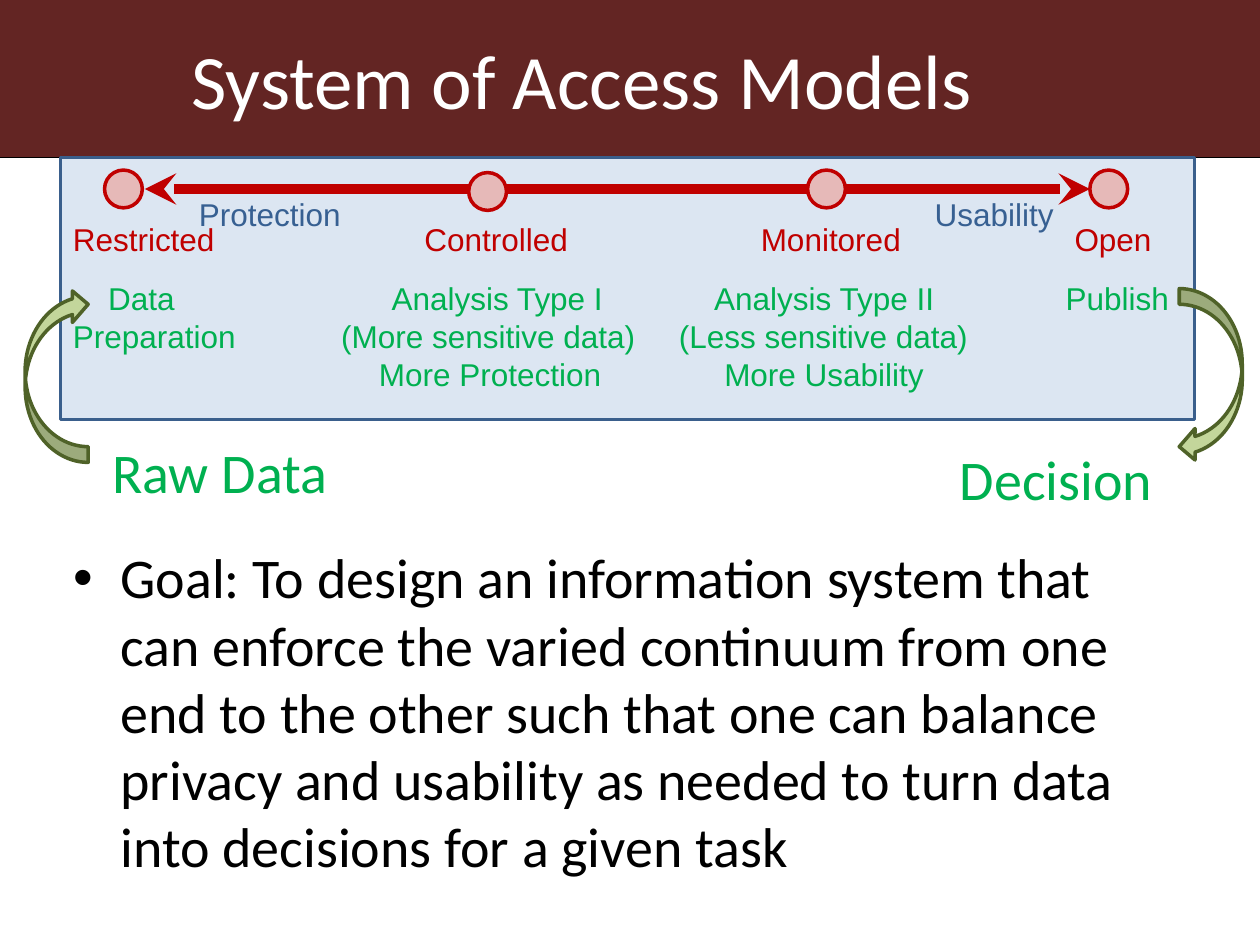
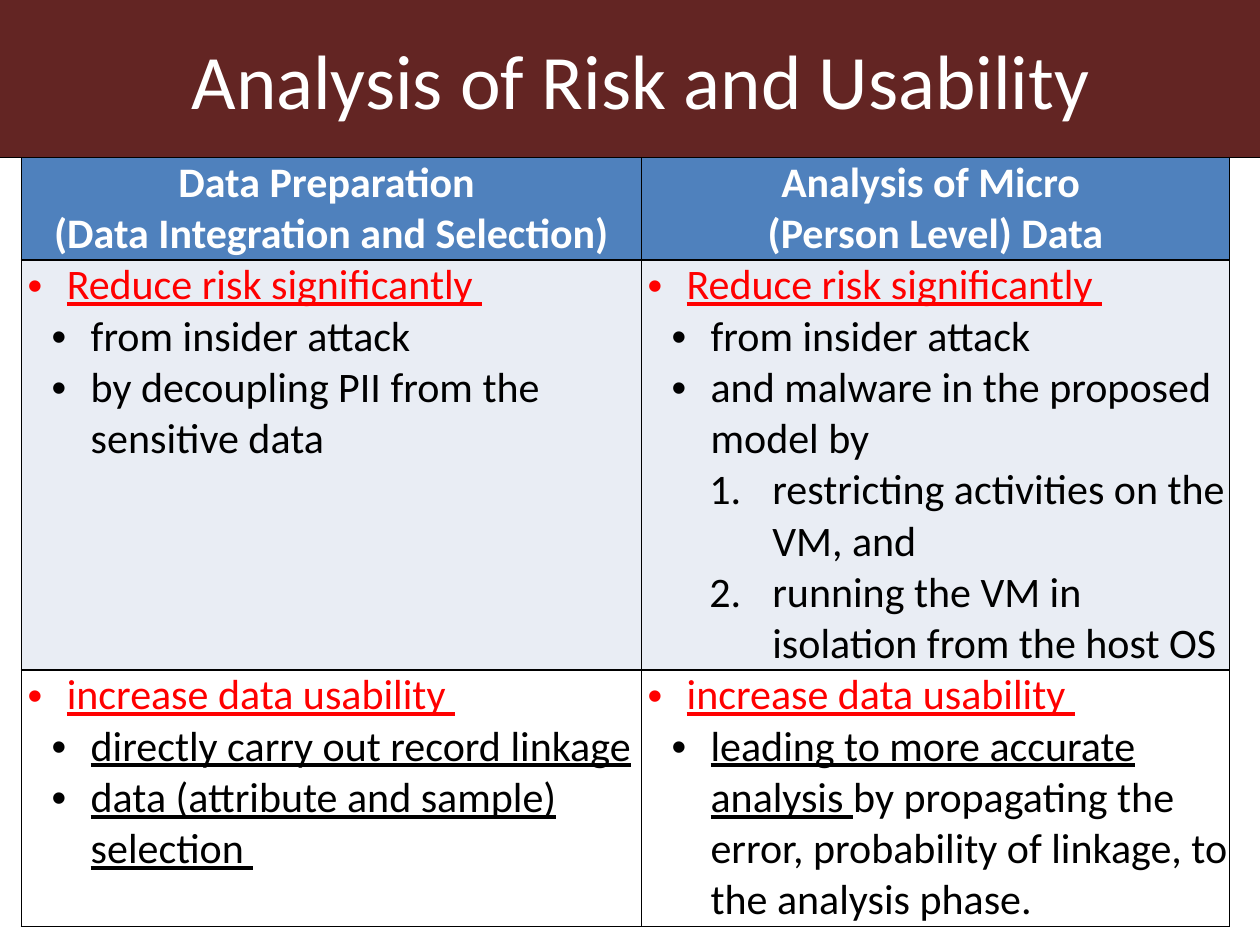
import pptx
import pptx.dml.color
import pptx.enum.shapes
import pptx.enum.text
import pptx.oxml
import pptx.oxml.ns
import pptx.util

Inches = pptx.util.Inches
Pt = pptx.util.Pt
RGBColor = pptx.dml.color.RGBColor
MSO_SHAPE = pptx.enum.shapes.MSO_SHAPE
STRAIGHT = pptx.enum.shapes.MSO_CONNECTOR.STRAIGHT
PP_ALIGN = pptx.enum.text.PP_ALIGN
MSO_ANCHOR = pptx.enum.text.MSO_ANCHOR
NS = pptx.oxml.ns.nsdecls("a")

BLACK = RGBColor(0x00, 0x00, 0x00)
WHITE = RGBColor(0xFF, 0xFF, 0xFF)
MAROON = RGBColor(0x63, 0x25, 0x23)
RED = RGBColor(0xFF, 0x00, 0x00)
DARK_RED = RGBColor(0xC0, 0x00, 0x00)
PINK = RGBColor(0xE6, 0xB9, 0xB8)
GREEN = RGBColor(0x00, 0xB0, 0x50)
OLIVE = RGBColor(0x4F, 0x62, 0x28)
LIGHT_OLIVE = RGBColor(0xC3, 0xD6, 0x9B)
LABEL_BLUE = RGBColor(0x37, 0x60, 0x92)
PANEL_LINE = RGBColor(0x3A, 0x5F, 0x8C)
PANEL_FILL = RGBColor(0xDC, 0xE6, 0xF2)
HEADER_BLUE = RGBColor(0x4F, 0x81, 0xBD)
ROW_BLUE = RGBColor(0xE9, 0xED, 0xF4)

TITLE_FONT = {"name": "Calibri", "size": Pt(44)}
BODY_FONT = {"name": "Calibri", "size": Pt(32)}
LABEL_FONT = {"name": "Arial", "size": Pt(18)}
CELL_FONT = {"name": "Calibri", "size": Pt(24)}


def add_run(p, text, color, **fmt):
    r = p.add_run()
    r.text = text
    r.font.color.rgb = color
    for key, value in fmt.items():
        setattr(r.font, key, value)


def set_indent(p, left=0, hang=0, bullet="<a:buNone {}/>", bullet_font="Arial"):
    pPr = p._p.get_or_add_pPr()
    pPr.set("marL", str(Inches(left)))
    pPr.set("indent", str(Inches(-hang)))
    pPr.append(pptx.oxml.parse_xml(f'<a:buFont {NS} typeface="{bullet_font}"/>'))
    pPr.append(pptx.oxml.parse_xml(bullet.format(NS)))


prs = pptx.Presentation()
prs.slide_width = Inches(10)
prs.slide_height = Inches(7.5)
master = prs.slide_master
title = master.placeholders[0]
title.left, title.top, title.width, title.height = [Inches(v) for v in (1.42, 0, 8.58, 1.25)]

slides = []
for layout, heading in ((1, "System of Access Models"), (5, "Analysis of Risk and Usability")):
    s = prs.slides.add_slide(prs.slide_layouts[layout])
    p = s.shapes.title.text_frame.paragraphs[0]
    p.alignment = PP_ALIGN.LEFT
    add_run(p, heading, WHITE, **TITLE_FONT)
    slides.append(s)
access, risk = slides

band = access.shapes.add_shape(MSO_SHAPE.RECTANGLE, 0, 0, Inches(10), Inches(1.25))
band.shadow.inherit = False
band.fill.solid()
band.fill.fore_color.rgb = MAROON
band.line.fill.background()
rule = access.shapes.add_connector(STRAIGHT, 0, Inches(1.25), Inches(10), Inches(1.25))
rule.line.color.rgb = BLACK
rule.line.width = Pt(0.75)
axis = access.shapes.add_connector(STRAIGHT, Inches(1.15), Inches(1.5), Inches(8.65), Inches(1.5))
axis.line.color.rgb = DARK_RED
axis.line.width = Pt(6)
for line in (rule, axis):
    line._element.spPr.append(pptx.oxml.parse_xml(f"<a:effectLst {NS}/>"))
for end in ("headEnd", "tailEnd"):
    axis.line._get_or_add_ln().append(pptx.oxml.parse_xml(f'<a:{end} {NS} type="stealth"/>'))
for i, sp in enumerate((band, rule)):
    sp._element.xpath(".//p:cNvPr")[0].set("id", str(20 + i))
    master.shapes._spTree.insert(2 + i, sp._element)

body = access.placeholders[1]
body.left, body.top, body.width, body.height = [Inches(v) for v in (0.48, 3.42, 9, 3.67)]
tf = body.text_frame
p = tf.paragraphs[0]
set_indent(p, 0.31)
add_run(p, "Raw Data", GREEN, **BODY_FONT)
p = tf.add_paragraph()
p.space_before = Pt(22)
add_run(p, "Goal: To design an information system that can enforce the varied continuum "
        "from one end to the other such that one can balance privacy and usability as needed "
        "to turn data into decisions for a given task", BLACK, **BODY_FONT)

diagram = [(MSO_SHAPE.RECTANGLE, (0.48, 1.25, 9, 2.08), PANEL_FILL, PANEL_LINE, None)]
diagram += [(MSO_SHAPE.OVAL, (x, y, 0.3, 0.3), PINK, DARK_RED, None)
            for x, y in ((0.83, 1.35), (3.72, 1.37), (6.41, 1.35), (8.65, 1.35))]
diagram += [(MSO_SHAPE.CURVED_RIGHT_ARROW, (x, 2.29, 0.5, 1.38), LIGHT_OLIVE, OLIVE, flip)
            for x, flip in ((0.2, "flipV"), (9.36, "flipH"))]
for kind, box, fill, outline, flip in diagram:
    sp = access.shapes.add_shape(kind, *[Inches(v) for v in box])
    sp.shadow.inherit = False
    sp.fill.solid()
    sp.fill.fore_color.rgb = fill
    sp.line.color.rgb = outline
    sp.line.width = Pt(2)
    if flip:
        sp._element.spPr.xfrm.set(flip, "1")
    if kind == MSO_SHAPE.RECTANGLE:
        sp._element.addnext(axis._element)

stages = [
    (0.48, 1.7, [("Restricted", 0), ("Data", 0.28), ("Preparation", 0)]),
    (2.61, 2.7, [("Controlled", 0.66), ("Analysis Type I", 0.4),
                 ("(More sensitive data)", 0), ("More Protection", 0.3)]),
    (5.29, 2.7, [("Monitored", 0.65), ("Analysis Type II", 0.28),
                 ("(Less sensitive data)", 0), ("More Usability", 0.36)]),
    (8.36, 1.2, [("Open", 0.07), ("Publish", 0)]),
]
labels = [((x, 1.7, width, 0.4 + 0.3 * (len(lines) - 1)), LABEL_FONT,
           [(text, GREEN if i else DARK_RED, indent, 0 if i else 12)
            for i, (text, indent) in enumerate(lines)])
          for x, width, lines in stages]
labels += [((x, 1.5, 1.5, 0.4), LABEL_FONT, [(text, LABEL_BLUE, 0, 0)])
           for x, text in ((1.48, "Protection"), (7.32, "Usability"))]
labels.append(((7.52, 3.48, 1.9, 0.63), BODY_FONT, [("Decision", GREEN, 0, 0)]))
for box, font, lines in labels:
    tf = access.shapes.add_textbox(*[Inches(v) for v in box]).text_frame
    tf.word_wrap = True
    tf.auto_size = pptx.enum.text.MSO_AUTO_SIZE.SHAPE_TO_FIT_TEXT
    for i, (text, color, indent, after) in enumerate(lines):
        p = tf.add_paragraph() if i else tf.paragraphs[0]
        set_indent(p, indent)
        p.space_after = Pt(after)
        add_run(p, text, color, **font)

DOT = '<a:buChar {} char="•"/>'
NUMBER = '<a:buAutoNum {} type="arabicPeriod"/>'
LEVELS = [(0.31, 0.31, DOT), (0.5, 0.31, DOT), (0.99, 0.5, NUMBER, "Calibri")]
headers = [("Data Preparation ", "(Data Integration and Selection)"),
           ("Analysis of Micro ", "(Person Level) Data")]
reduce_risk = (0, [("Reduce risk significantly ", True)])
increase_use = (0, [("increase data usability ", True)])
insider = (1, [("from insider attack", False)])
rows = [
    [[reduce_risk, insider,
      (1, [("by decoupling PII from the sensitive data", False)])],
     [reduce_risk, insider,
      (1, [("and malware in the proposed model by", False)]),
      (2, [("restricting activities on the VM, and", False)]),
      (2, [("running the VM in isolation from the host OS", False)])]],
    [[increase_use,
      (1, [("directly carry out record linkage", True)]),
      (1, [("data (attribute and sample) selection ", True)])],
     [increase_use,
      (1, [("leading to more accurate analysis ", True),
           ("by propagating the error, probability of linkage, to the analysis phase.", False)])]],
]

table = risk.shapes.add_table(3, 2, Inches(0.17), Inches(1.25), Inches(9.58), Inches(6)).table
for col, width in zip(table.columns, (4.92, 4.67)):
    col.width = Inches(width)
for row, height in zip(table.rows, (0.3, 3.2, 1.85)):
    row.height = Inches(height)

for i, fill in enumerate((HEADER_BLUE, ROW_BLUE, WHITE)):
    for j in range(2):
        cell = table.cell(i, j)
        cell.margin_left = Inches(0.05 if i else 0)
        cell.margin_top = cell.margin_right = cell.margin_bottom = 0
        cell.vertical_anchor = MSO_ANCHOR.TOP if i else MSO_ANCHOR.BOTTOM
        cell.fill.solid()
        cell.fill.fore_color.rgb = fill
        tcPr = cell._tc.get_or_add_tcPr()
        for k, side in enumerate("LRTB"):
            tcPr.insert(k, pptx.oxml.parse_xml(
                f'<a:ln{side} {NS} w="12700"><a:solidFill><a:srgbClr val="{BLACK}"/>'
                f'</a:solidFill></a:ln{side}>'))
        tf = cell.text_frame
        items = rows[i - 1][j] if i else headers[j]
        for k, item in enumerate(items):
            p = tf.add_paragraph() if k else tf.paragraphs[0]
            if i == 0:
                p.alignment = PP_ALIGN.CENTER
                add_run(p, item, WHITE, bold=True, **CELL_FONT)
                continue
            level, runs = item
            p.level = level
            set_indent(p, *LEVELS[level])
            for text, underline in runs:
                add_run(p, text, BLACK if level else RED, bold=False,
                        underline=underline, **CELL_FONT)

prs.save("out.pptx")
